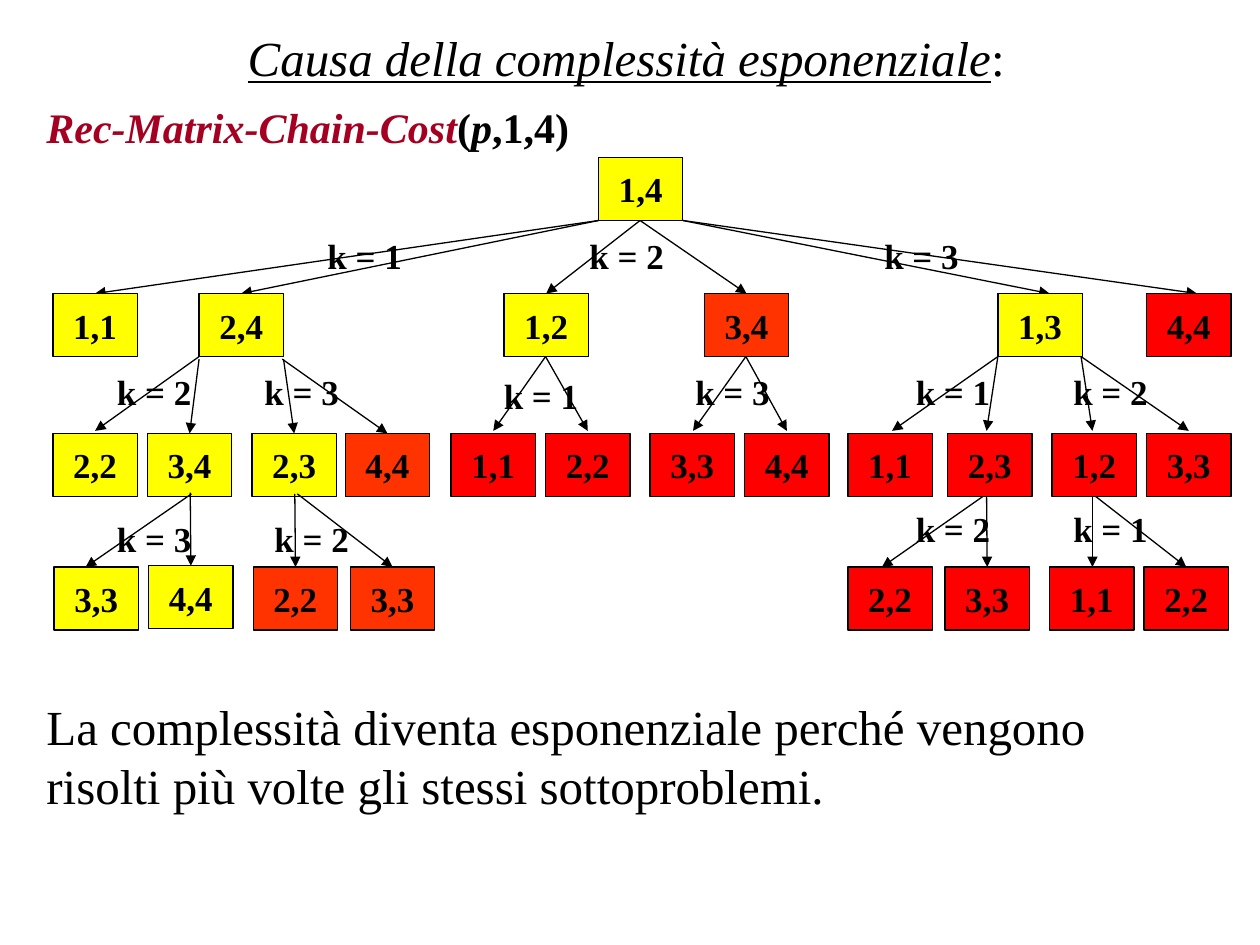
import pptx
import pptx.util
import pptx.dml.color
import pptx.enum.shapes
import pptx.enum.text
import pptx.oxml.ns
from lxml import etree
from dataclasses import dataclass
from typing import Optional

Inches, Pt = pptx.util.Inches, pptx.util.Pt
RGB = pptx.dml.color.RGBColor
ALIGN = pptx.enum.text.PP_ALIGN


@dataclass(frozen=True)
class Theme:
    """Colours, font and type sizes."""
    font: str = "Times New Roman"
    black: str = "000000"
    crimson: str = "A50021"
    yellow: str = "FFFF00"
    orange: str = "FF3300"
    red: str = "FF0000"
    title: int = 28
    call: int = 24
    node: int = 20
    line: float = 0.75


T = Theme()
BOX_W, BOX_H = 0.67, 0.5
ROW_TOP = (1.25, 2.33, 3.44, 4.5)
EDGE_START = (None, 1.75, 2.83, 3.92)
EDGE_END = (None, 2.33, 3.42, 4.5)


@dataclass(frozen=True)
class Node:
    """A subproblem and the edge that reaches it."""
    text: str
    row: int
    left: float
    fill: str
    start: Optional[float] = None
    tip: Optional[float] = None
    drop: float = 0


@dataclass(frozen=True)
class Label:
    """A split value beside a pair of edges."""
    k: int
    left: float
    top: float


@dataclass(frozen=True)
class Run:
    """A piece of text with its own look."""
    text: str
    italic: bool = False
    underline: bool = False
    color: str = T.black


NODES = (
    Node("1,4", 0, 4.75, T.yellow),
    Node("1,1", 1, 0.42, T.yellow, 4.75),
    Node("2,4", 1, 1.58, T.yellow, 4.75),
    Node("1,2", 1, 4, T.yellow, 5.08),
    Node("3,4", 1, 5.59, T.orange, 5.08),
    Node("1,3", 1, 7.92, T.yellow, 5.42, 8.33),
    Node("4,4", 1, 9.1, T.red, 5.42, 9.5),
    Node("2,2", 3, 6.73, T.red, 7.83, 7),
    Node("3,3", 3, 7.5, T.red, 7.83),
    Node("1,1", 3, 8.33, T.red, 8.67, 8.67),
    Node("2,2", 3, 9.08, T.red, 8.67),
    Node("2,2", 2, 0.42, T.yellow, 1.58),
    Node("3,4", 2, 1.17, T.yellow, 1.58, drop=0.02),
    Node("2,3", 2, 2, T.yellow, 2.25, drop=0.02),
    Node("4,4", 2, 2.74, T.orange, 2.24, drop=0.02),
    Node("1,1", 2, 3.58, T.red, 4.33),
    Node("2,2", 2, 4.33, T.red, 4.33),
    Node("3,3", 2, 5.16, T.red, 5.92, 5.5),
    Node("4,4", 2, 5.91, T.red, 5.92),
    Node("1,1", 2, 6.73, T.red, 7.92, 7.08),
    Node("2,3", 2, 7.52, T.red, 7.92, 7.83),
    Node("1,2", 2, 8.35, T.red, 8.58, 8.67),
    Node("3,3", 2, 9.1, T.red, 8.58),
    Node("3,3", 3, 0.43, T.yellow, 1.52, 0.68),
    Node("4,4", 3, 1.18, T.yellow, 1.51, drop=-0.01),
    Node("2,2", 3, 2.01, T.orange, 2.34),
    Node("3,3", 3, 2.78, T.orange, 2.36),
)

LABELS = (
    Label(1, 2.5, 1.81), Label(2, 4.58, 1.81), Label(3, 6.92, 1.81),
    Label(2, 0.83, 2.89), Label(3, 2, 2.89), Label(1, 3.9, 2.92),
    Label(3, 5.42, 2.89), Label(1, 7.17, 2.89), Label(2, 8.42, 2.89),
    Label(2, 7.17, 3.98), Label(1, 8.42, 3.98),
    Label(3, 0.83, 4.06), Label(2, 2.08, 4.06),
)


def set_font(font, size: float, bold: bool = False) -> None:
    """Give a font the slide's face, a size and a weight."""
    font.name, font.size, font.bold = T.font, Pt(size), bold
    font.color.rgb = RGB.from_string(T.black)


def add_edge(s, x1: float, y1: float, x2: float, y2: float) -> None:
    """Draw an arrow from a parent to a child."""
    c = s.shapes.add_connector(pptx.enum.shapes.MSO_CONNECTOR.STRAIGHT,
                               Inches(x1), Inches(y1), Inches(x2), Inches(y2))
    c.line.color.rgb = RGB.from_string(T.black)
    c.line.width = Pt(T.line)
    qn = pptx.oxml.ns.qn
    etree.SubElement(c.line._get_or_add_ln(), qn("a:tailEnd"), type="triangle")
    etree.SubElement(c._element.spPr, qn("a:effectLst"))


def add_node(s, node: Node) -> None:
    """Draw a subproblem box, with its incoming edge behind it."""
    if node.start is not None:
        tip = node.left + BOX_W / 2 if node.tip is None else node.tip
        add_edge(s, node.start, EDGE_START[node.row] + node.drop,
                 tip, EDGE_END[node.row] + node.drop)
    top = ROW_TOP[node.row] + min(node.drop, 0)
    sp = s.shapes.add_shape(pptx.enum.shapes.MSO_SHAPE.RECTANGLE, Inches(node.left),
                            Inches(top), Inches(BOX_W), Inches(BOX_H))
    sp.shadow.inherit = False
    sp.fill.solid()
    sp.fill.fore_color.rgb = RGB.from_string(node.fill)
    sp.line.color.rgb = RGB.from_string(T.black)
    sp.line.width = Pt(T.line)
    tf = sp.text_frame
    tf.word_wrap = False
    tf.vertical_anchor = pptx.enum.text.MSO_ANCHOR.MIDDLE
    p = tf.paragraphs[0]
    p.text, p.alignment = node.text, ALIGN.CENTER
    set_font(p.font, T.node, bold=True)


def add_text(s, left: float, top: float, width: float, height: float,
             runs: tuple[Run, ...], size: float, bold: bool = False,
             wrap: bool = False, align=ALIGN.LEFT) -> None:
    """Place one paragraph of styled runs."""
    sp = s.shapes.add_textbox(Inches(left), Inches(top), Inches(width), Inches(height))
    tf = sp.text_frame
    tf.word_wrap = wrap
    p = tf.paragraphs[0]
    p.alignment = align
    set_font(p.font, size, bold)
    for run in runs:
        r = p.add_run()
        r.text = run.text
        r.font.italic, r.font.underline = run.italic, run.underline
        r.font.color.rgb = RGB.from_string(run.color)


def build() -> None:
    """Build and save the slide."""
    prs = pptx.Presentation()
    prs.slide_width, prs.slide_height = Inches(10), Inches(7.5)
    s = prs.slides.add_slide(prs.slide_layouts[6])
    for node in NODES:
        add_node(s, node)
    add_text(s, 0.47, 0.17, 9, 0.57,
             (Run("Causa della complessità esponenziale", True, True), Run(":")),
             T.title, wrap=True, align=ALIGN.CENTER)
    add_text(s, 0.27, 5.48, 9.41, 1.04,
             (Run("La complessità diventa esponenziale perché vengono "
                  "risolti più volte gli stessi sottoproblemi."),),
             T.title, wrap=True)
    add_text(s, 0.27, 0.76, 4.39, 0.5,
             (Run("Rec-Matrix-Chain-Cost", True, color=T.crimson), Run("("),
              Run("p", True), Run(",1,4)")), T.call, bold=True)
    for label in LABELS:
        add_text(s, label.left, label.top, 0.8, 0.44,
                 (Run(f"k = {label.k}"),), T.node, bold=True)
    prs.save("out.pptx")


build()
